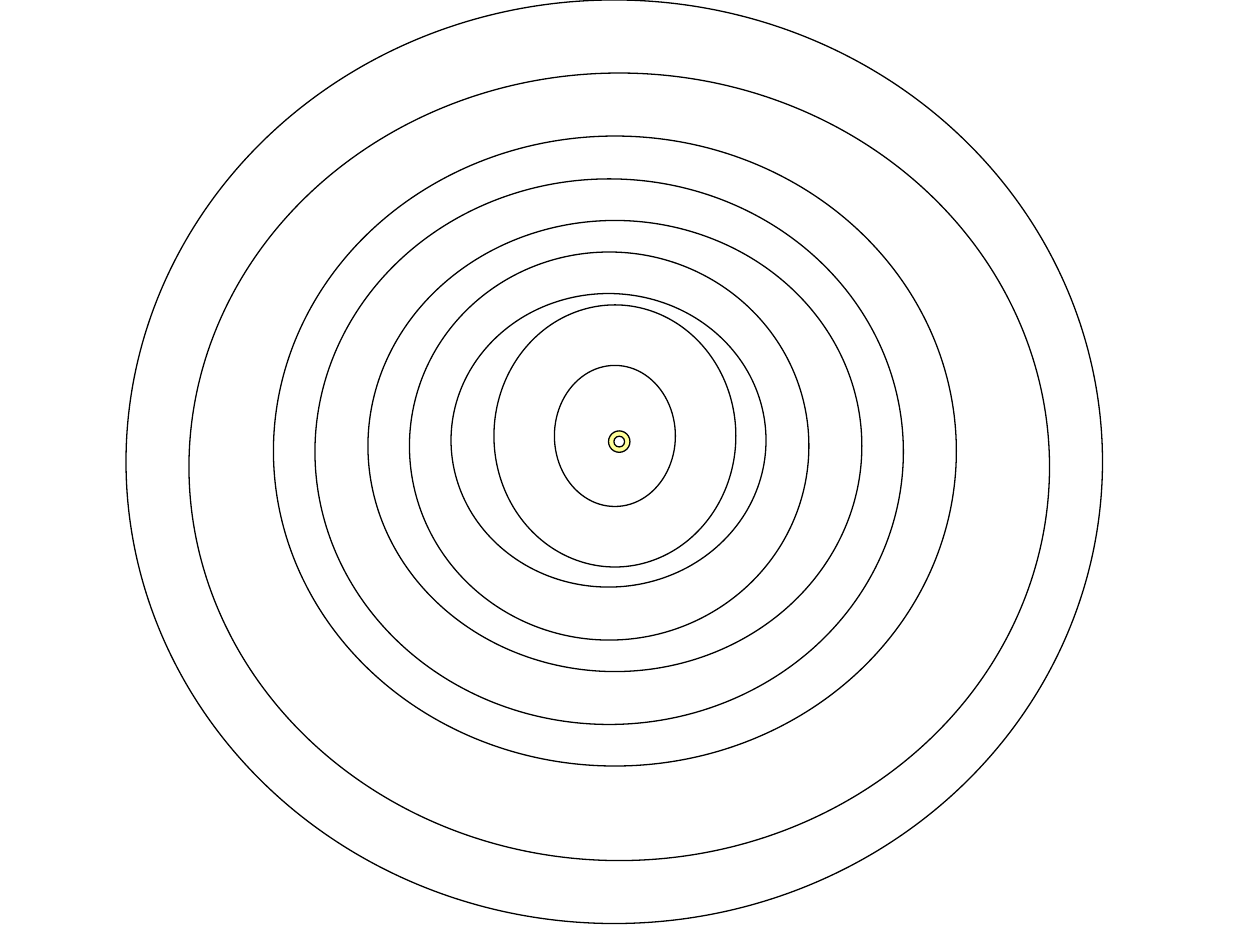
from pptx import Presentation
from pptx.dml.color import RGBColor
from pptx.enum.shapes import MSO_SHAPE as Shape
from pptx.util import Inches, Pt

# left, top, width, height in inches, from back to front
INNER_RING = (3.92, 2.42, 1.92, 2.08)
CENTRE_RING = (4.83, 3.42, 0.17, 0.17)
ORBITS = [
    (3.58, 2.33, 2.5, 2.33),
    (3.25, 2, 3.17, 3.08),
    (2.92, 1.75, 3.92, 3.58),
    (1, 0, 7.75, 7.33),
    (2.5, 1.42, 4.67, 4.33),
    (2.17, 1.08, 5.42, 5),
    (1.5, 0.58, 6.83, 6.25),
]


def color(value):
    return RGBColor.from_string(value)


def add_ring(page, kind, bounds, fill=None):
    ring = page.shapes.add_shape(kind, *map(Inches, bounds))
    ring.shadow.inherit = False
    if fill:
        ring.fill.solid()
        ring.fill.fore_color.rgb = color(fill)
    else:
        ring.fill.background()
    ring.line.color.rgb = color("000000")
    ring.line.width = Pt(0.75)


def main():
    deck = Presentation()
    deck.slide_width, deck.slide_height = Inches(10), Inches(7.5)
    page = deck.slides.add_slide(deck.slide_layouts[6])
    page.background.fill.solid()
    page.background.fill.fore_color.rgb = color("FFFFFF")

    add_ring(page, Shape.DONUT, INNER_RING)
    add_ring(page, Shape.DONUT, CENTRE_RING, fill="FFFF99")
    for bounds in ORBITS:
        add_ring(page, Shape.OVAL, bounds)

    deck.save("out.pptx")


if __name__ == "__main__":
    main()
